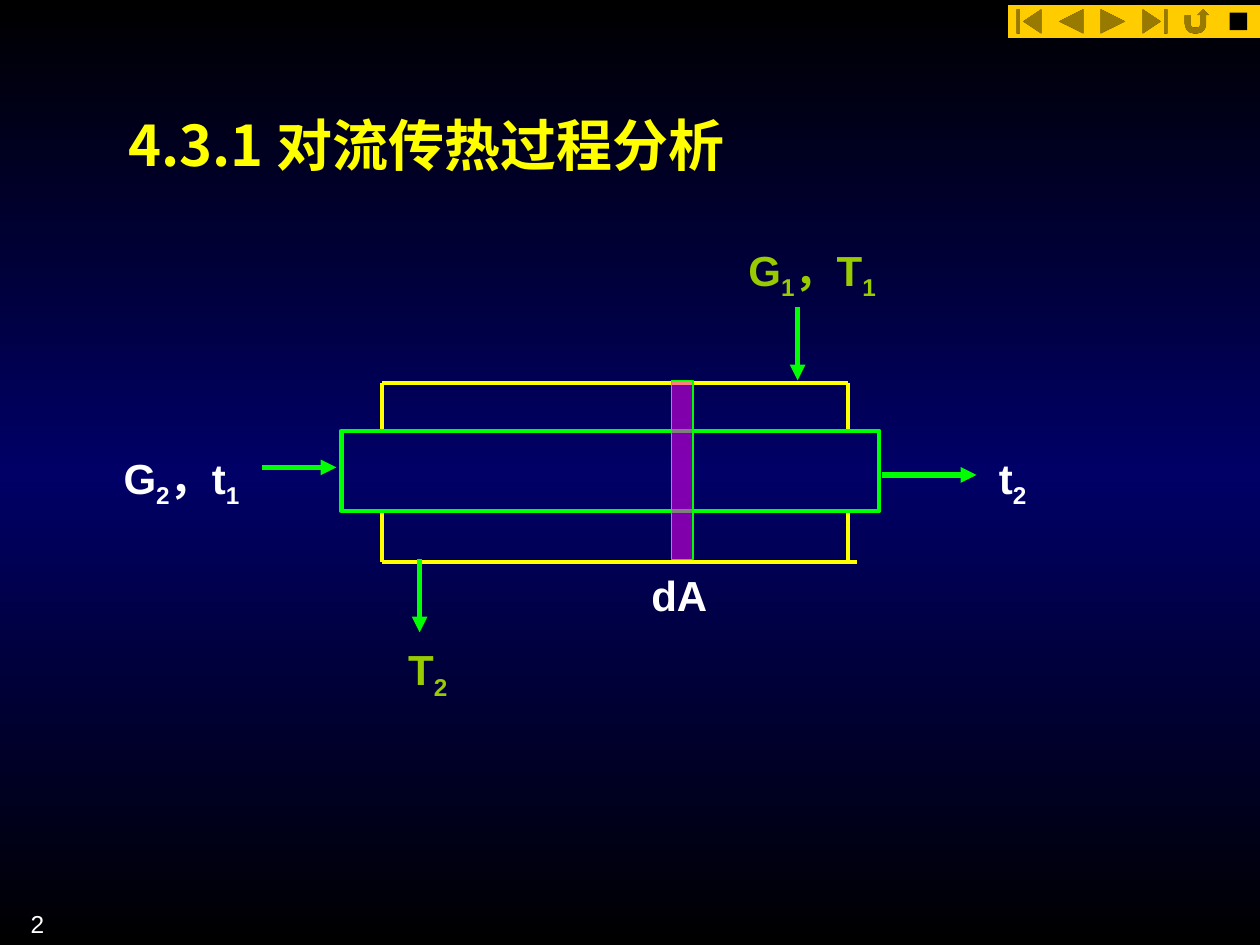
from copy import deepcopy

from pptx import Presentation
from pptx.dml.color import RGBColor
from pptx.enum.shapes import MSO_CONNECTOR, MSO_SHAPE
from pptx.enum.text import PP_ALIGN
from pptx.oxml.ns import qn
from pptx.util import Pt
from lxml.etree import SubElement

HUES = {
    "black": "000000", "navy": "000066", "white": "FFFFFF", "gold": "FFCC00",
    "yellow": "FFFF00", "green": "00FF00", "olive": "99CC00", "pink": "FF00FF",
}


class Board:
    """Draws styled elements on the current slide."""

    latin = "Arial"
    asian = "Noto Sans CJK SC"

    def __init__(self, slide):
        self.slide = slide

    def tint(self, hue):
        return RGBColor.from_string(HUES[hue])

    def back(self, *hues):
        fill = self.slide.background.fill
        fill.gradient()
        fill.gradient_angle = 90
        stops = next(self.slide.element.iter(qn("a:gsLst")))
        while len(stops) < len(hues):
            stops.append(deepcopy(stops[0]))
        for i, (stop, hue) in enumerate(zip(fill.gradient_stops, hues)):
            stop.position = i / (len(hues) - 1)
            stop.color.rgb = self.tint(hue)

    def shape(self, kind, box, fill=None, line=None, width=2.5, alpha=None):
        item = self.slide.shapes.add_shape(kind, *map(Pt, box))
        item.shadow.inherit = False
        if fill:
            item.fill.solid()
            item.fill.fore_color.rgb = self.tint(fill)
        else:
            item.fill.background()
        if alpha:
            color = item.element.spPr.find(qn("a:solidFill"))[0]
            SubElement(color, qn("a:alpha"), val=str(alpha * 1000))
        if line:
            item.line.color.rgb = self.tint(line)
            item.line.width = Pt(width)
        else:
            item.line.fill.background()

    def line(self, ends, hue="yellow", width=2.5, arrow=False):
        item = self.slide.shapes.add_connector(
            MSO_CONNECTOR.STRAIGHT, *map(Pt, ends))
        item.line.color.rgb = self.tint(hue)
        item.line.width = Pt(width)
        props = item.element.spPr
        if arrow:
            SubElement(props.find(qn("a:ln")), qn("a:tailEnd"), type="triangle")
        SubElement(props, qn("a:effectLst"))

    def text(self, box, parts, hue="white", size=24, bold=True, face=None,
             align=PP_ALIGN.JUSTIFY, pad=(0, 0), wrap=True):
        item = self.slide.shapes.add_textbox(*map(Pt, box))
        frame = item.text_frame
        frame.word_wrap = wrap
        frame.margin_left = frame.margin_right = Pt(pad[0])
        frame.margin_top = frame.margin_bottom = Pt(pad[1])
        para = frame.paragraphs[0]
        para.alignment = align
        for i, part in enumerate(parts):
            run = para.add_run()
            run.text = part
            font = run.font
            font.size, font.bold = Pt(size), bold
            font.color.rgb = self.tint(hue)
            font.name = face or self.latin
            props = font.fill and run.font._element
            SubElement(props, qn("a:ea"), typeface=self.asian)
            if i % 2:
                props.set("baseline", "-25000")


def main():
    deck = Presentation()
    deck.slide_width, deck.slide_height = Pt(720), Pt(540)
    board = Board(deck.slides.add_slide(deck.slide_layouts[6]))
    board.back("black", "navy", "black")

    kinds = ("BEGINNING", "BACK_OR_PREVIOUS", "FORWARD_OR_NEXT", "END",
             "RETURN", "CUSTOM")
    for i, kind in enumerate(kinds):
        button = getattr(MSO_SHAPE, "ACTION_BUTTON_" + kind)
        board.shape(button, (576 + 24 * i, 2.9, 24, 18.7), "gold")
    board.shape(MSO_SHAPE.RECTANGLE, (702.7, 7.2, 10, 10), "black")

    edge = (7.2, 3.6)
    board.text((7.2, 516.2, 25.2, 22), ["2"], size=14, bold=False,
               align=PP_ALIGN.RIGHT, pad=edge)
    board.text((66.2, 59.8, 395.3, 46), ["4.3.1 对流传热过程分析"], "yellow",
               32, face=board.asian, align=PP_ALIGN.LEFT, pad=edge)

    left, right, top, base = 218.2, 484.6, 219, 321.2
    for x in (left, right):
        board.line((x, top, x, 245))
        board.line((x, 292.3, x, base))
    board.line((left, top, right, top))
    board.line((left, base, 489.6, base))
    board.shape(MSO_SHAPE.RECTANGLE, (195.1, 246.2, 307.4, 46), line="green")

    board.text((372.2, 325.4, 32.4, 28.8), ["dA"], wrap=False)
    board.text((570.8, 258.5, 72.9, 33.1), ["t", "2"])
    board.text((70.6, 258.5, 79.2, 33.1), ["G", "2", "，t", "1"])
    board.text((427.7, 139.7, 79.2, 65.5), ["G", "1", "，T", "1"], "olive")
    board.text((233.3, 367.9, 52.6, 33.1), ["T", "2"], "olive")

    flows = ((239.8, 319.7, 239.8, 361.4), (455.8, 175.7, 455.8, 217.4),
             (149.8, 267.1, 192.2, 267.1), (504, 271.4, 558, 271.4))
    for ends in flows:
        board.line(ends, "green", 3, arrow=True)
    board.shape(MSO_SHAPE.RECTANGLE, (383.8, 217.4, 12.2, 102.2), "pink",
                "green", 0.75, 50)
    deck.save("out.pptx")


if __name__ == "__main__":
    main()
